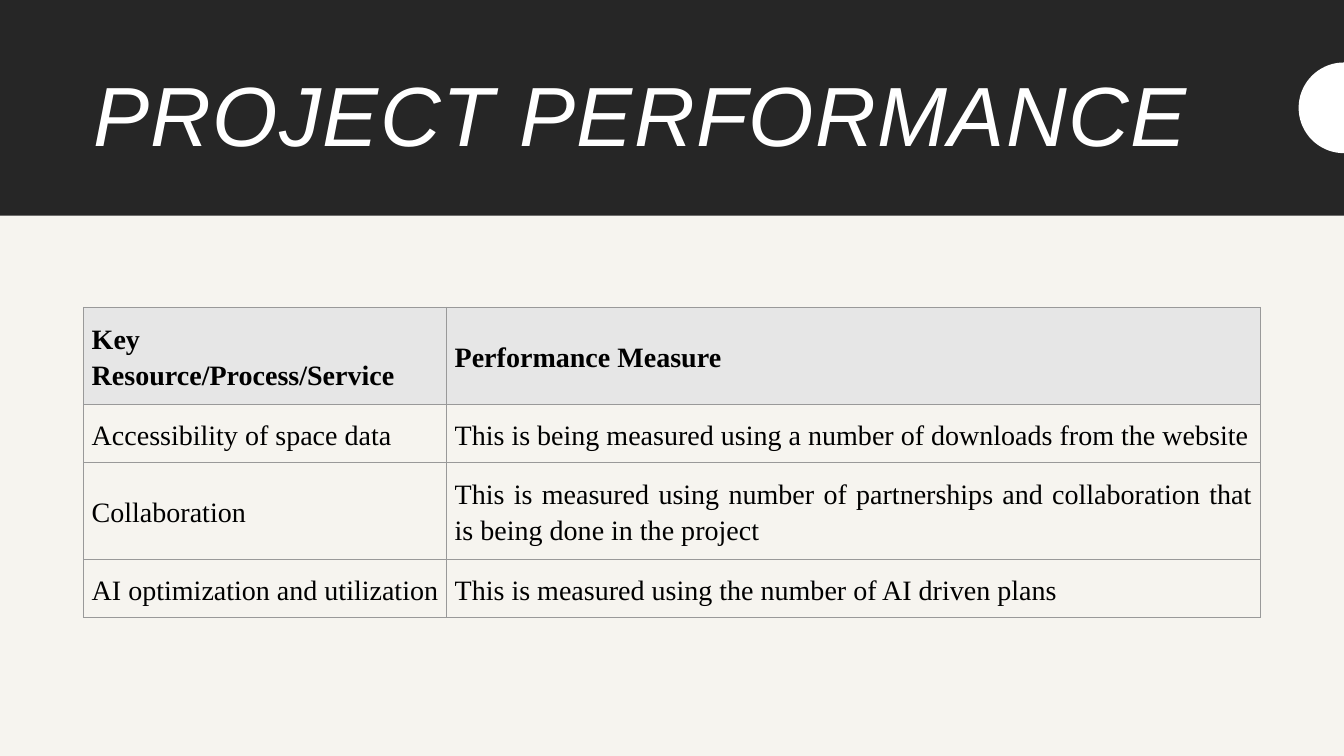
import math

from lxml import etree
from pptx import Presentation
from pptx.dml.color import RGBColor
from pptx.enum import shapes, text
from pptx.oxml import ns
from pptx.util import Inches, Pt

COLORS = {
    "paper": "F6F4EF",
    "band": "262626",
    "white": "FFFFFF",
    "ink": "000000",
    "header": "E6E6E6",
    "border": "999999",
}
WIDTH, HEIGHT = 13.33, 7.5
COLUMNS = [3.6, 8.07]
ROW_HEIGHTS = [0.96, 0.58, 0.96, 0.58]
MEASURES = [
    ("Key Resource/Process/Service", "Performance Measure"),
    ("Accessibility of space data",
     "This is being measured using a number of downloads from the website"),
    ("Collaboration",
     "This is measured using number of partnerships and collaboration that is being done in the project"),
    ("AI optimization and utilization",
     "This is measured using the number of AI driven plans"),
]


def color(name):
    return RGBColor.from_string(COLORS[name])


def paint(shape, name):
    shape.shadow.inherit = False
    shape.fill.solid()
    shape.fill.fore_color.rgb = color(name)
    shape.line.fill.background()


def style_span(span, font, size, name):
    span.font.name = font
    span.font.size = Pt(size)
    span.font.color.rgb = color(name)


def add_band(page):
    band = page.shapes.add_shape(
        shapes.MSO_SHAPE.RECTANGLE, 0, 0, Inches(WIDTH), Inches(2.14))
    paint(band, "band")


def add_title(page, wording):
    box = page.shapes.add_textbox(Inches(0.83), Inches(0.46), Inches(11.67), Inches(1.45))
    frame = box.text_frame
    frame.word_wrap = True
    frame.vertical_anchor = text.MSO_ANCHOR.MIDDLE
    frame.text = wording
    para = frame.paragraphs[0]
    para.line_spacing = 0.9
    span = para.runs[0]
    style_span(span, "Arial", 60, "white")
    span.font.italic = True
    span._r.get_or_add_rPr().set("spc", "100")


def add_half_circle(page, center_y, radius):
    points = []
    for step in range(37):
        angle = math.pi * step / 36
        points.append((Inches(WIDTH - radius * math.sin(angle)),
                       Inches(center_y - radius * math.cos(angle))))
    builder = page.shapes.build_freeform(*points[0])
    builder.add_line_segments(points[1:], close=True)
    paint(builder.convert_to_shape(), "white")


def add_borders(cell):
    properties = cell._tc.get_or_add_tcPr()
    for side in ("lnL", "lnR", "lnT", "lnB"):
        line = etree.SubElement(properties, ns.qn(f"a:{side}"), w=str(Pt(1)))
        fill = etree.SubElement(line, ns.qn("a:solidFill"))
        etree.SubElement(fill, ns.qn("a:srgbClr"), val=COLORS["border"])


def fill_cell(cell, wording, is_header):
    add_borders(cell)
    if is_header:
        cell.fill.solid()
        cell.fill.fore_color.rgb = color("header")
    else:
        cell.fill.background()
    cell.margin_left = cell.margin_right = Inches(0.08)
    cell.margin_top = cell.margin_bottom = Inches(0.08)
    cell.vertical_anchor = text.MSO_ANCHOR.MIDDLE
    cell.text_frame.text = wording
    para = cell.text_frame.paragraphs[0]
    para.alignment = text.PP_ALIGN.JUSTIFY
    para.line_spacing = 1.15
    span = para.runs[0]
    style_span(span, "Times New Roman", 20, "ink")
    span.font.bold = is_header


def add_measures(page):
    table = page.shapes.add_table(
        len(MEASURES), len(COLUMNS), Inches(0.83), Inches(3.05),
        Inches(sum(COLUMNS)), Inches(sum(ROW_HEIGHTS))).table
    table.horz_banding = False
    for column, width in zip(table.columns, COLUMNS):
        column.width = Inches(width)
    for index, (row, height) in enumerate(zip(table.rows, ROW_HEIGHTS)):
        row.height = Inches(height)
        for cell, wording in zip(row.cells, MEASURES[index]):
            fill_cell(cell, wording, index == 0)


def main():
    deck = Presentation()
    deck.slide_width = Inches(WIDTH)
    deck.slide_height = Inches(HEIGHT)
    page = deck.slides.add_slide(deck.slide_layouts[6])
    page.background.fill.solid()
    page.background.fill.fore_color.rgb = color("paper")
    add_band(page)
    add_title(page, "PROJECT PERFORMANCE")
    add_half_circle(page, 1.07, 0.45)
    add_measures(page)
    deck.save("out.pptx")


if __name__ == "__main__":
    main()
